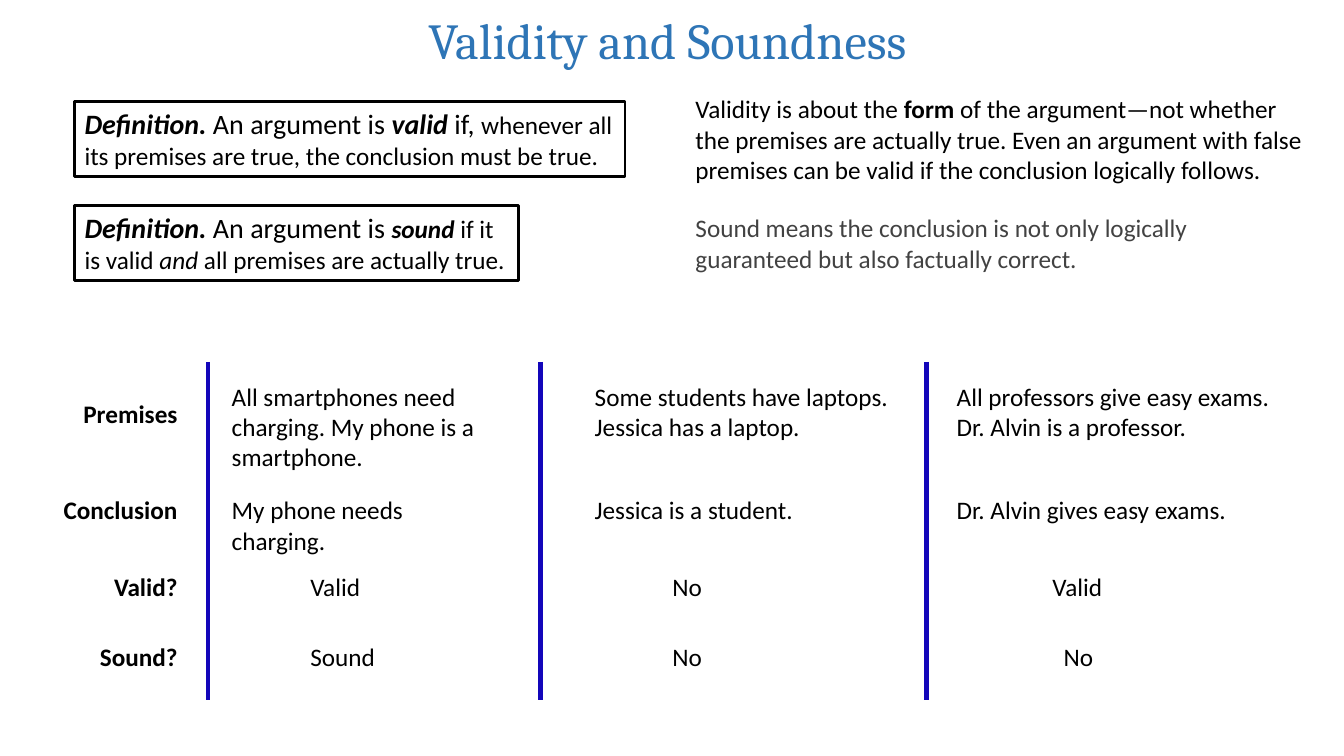
import pptx
import pptx.dml.color
import pptx.enum.shapes
import pptx.enum.text
import pptx.oxml.ns
import pptx.util
from lxml import etree
from pptx.util import Inches

INK = {"title": "2E75B6", "text": "000000", "soft": "424242", "rule": "1306BA"}
ALIGN = pptx.enum.text.PP_ALIGN
ANCHOR = pptx.enum.text.MSO_ANCHOR


def color(name):
    return pptx.dml.color.RGBColor.from_string(INK[name])


class Deck:
    font = "Calibri"
    size = 18

    def __init__(self):
        self.prs = pptx.Presentation()
        self.prs.slide_width = Inches(13.33)
        self.prs.slide_height = Inches(7.5)
        self.slide = self.prs.slides.add_slide(self.prs.slide_layouts[6])

    def fill(self, shape, paras, ink="text", size=None, font=None,
             align=ALIGN.LEFT, anchor=ANCHOR.TOP):
        """Write paragraphs, each a list of (text, style, size) runs;
        style holds b for bold and i for italic."""
        frame = shape.text_frame
        frame.word_wrap = True
        frame.vertical_anchor = anchor
        for n, runs in enumerate(paras):
            para = frame.add_paragraph() if n else frame.paragraphs[0]
            para.alignment = align
            for words, style, pts in runs:
                run = para.add_run()
                run.text = words
                run.font.name = font or self.font
                run.font.size = pptx.util.Pt(pts or size or self.size)
                run.font.bold = "b" in style
                run.font.italic = "i" in style
                run.font.color.rgb = color(ink)

    def text(self, box, paras, **style):
        shape = self.slide.shapes.add_textbox(*map(Inches, box))
        self.fill(shape, paras, **style)

    def line(self, words, box, bold="", **style):
        """Add a text box with one run on each line of the words."""
        self.text(box, [[(row, bold, None)] for row in words.split("\n")],
                  **style)

    def frame(self, box, runs):
        kind = pptx.enum.shapes.MSO_SHAPE.RECTANGLE
        shape = self.slide.shapes.add_shape(kind, *map(Inches, box))
        shape.shadow.inherit = False
        shape.fill.background()
        shape.line.color.rgb = color("text")
        shape.line.width = pptx.util.Pt(2)
        self.fill(shape, [runs], size=20)

    def rule(self, x, top, end):
        kind = pptx.enum.shapes.MSO_CONNECTOR.STRAIGHT
        ends = map(Inches, (x, top, x, end))
        rule = self.slide.shapes.add_connector(kind, *ends)
        rule.line.color.rgb = color("rule")
        rule.line.width = pptx.util.Pt(3)
        props = rule._element.spPr
        etree.SubElement(props, pptx.oxml.ns.qn("a:effectLst"))


def main():
    deck = Deck()
    deck.line("Validity and Soundness", (0.52, 0.08, 12.2, 0.62),
              ink="title", size=36, font="Cambria",
              align=ALIGN.CENTER, anchor=ANCHOR.MIDDLE)

    start = [("Definition.", "bi", None), (" An argument is ", "", None)]
    deck.frame((0.74, 1.01, 5.46, 0.74), start + [
        ("valid", "bi", None), (" if, ", "", None),
        ("whenever all its premises are true, "
         "the conclusion must be true.", "", 18)])
    deck.frame((0.74, 2.04, 4.4, 0.74), start + [
        ("sound", "bi", 18), (" if it is valid ", "", 18), ("and", "i", 18),
        (" all premises are actually true.", "", 18)])

    deck.text((6.8, 0.88, 6.24, 1.01), [[
        ("Validity is about the ", "", None), ("form", "b", None),
        (" of the argument—not whether the premises are actually true. "
         "Even an argument with false premises can be valid if the "
         "conclusion logically follows.", "", None)]])
    deck.line("Sound means the conclusion is not only logically guaranteed "
              "but also factually correct.", (6.8, 2.06, 5.23, 0.71),
              ink="soft")

    tops = (3.73, 4.86, 5.62, 6.31)
    heads = ("Premises", "Conclusion", "Valid?", "Sound?")
    for head, top in zip(heads, (3.9,) + tops[1:]):
        deck.line(head, (0.46, top, 1.4, 0.4), "b", align=ALIGN.RIGHT)

    # Each column: left edge, widths of its two sentences, verdict edges, cells
    cols = [
        (2.2, (3, 2.63), (2.98, 2.98),
         ("All smartphones need charging. My phone is a smartphone.",
          "My phone needs charging.", "Valid", "Sound")),
        (5.8, (3.38, 2.63), (6.57, 6.57),
         ("Some students have laptops.\nJessica has a laptop.",
          "Jessica is a student.", "No", "No")),
        (9.39, (3.31, 3.61), (10.34, 10.45),
         ("All professors give easy exams.\nDr. Alvin is a professor.",
          "Dr. Alvin gives easy exams.", "Valid", "No")),
    ]
    highs = (0.71, 0.4, 0.4, 0.4)
    for left, wides, marks, cells in cols:
        lefts = (left, left) + marks
        spans = wides + (0.92, 0.92)
        for words, *box in zip(cells, lefts, tops, spans, highs):
            deck.line(words, box)

    for x in (2.06, 5.36, 9.19):
        deck.rule(x, 3.59, 6.94)

    deck.prs.save("out.pptx")


if __name__ == "__main__":
    main()
